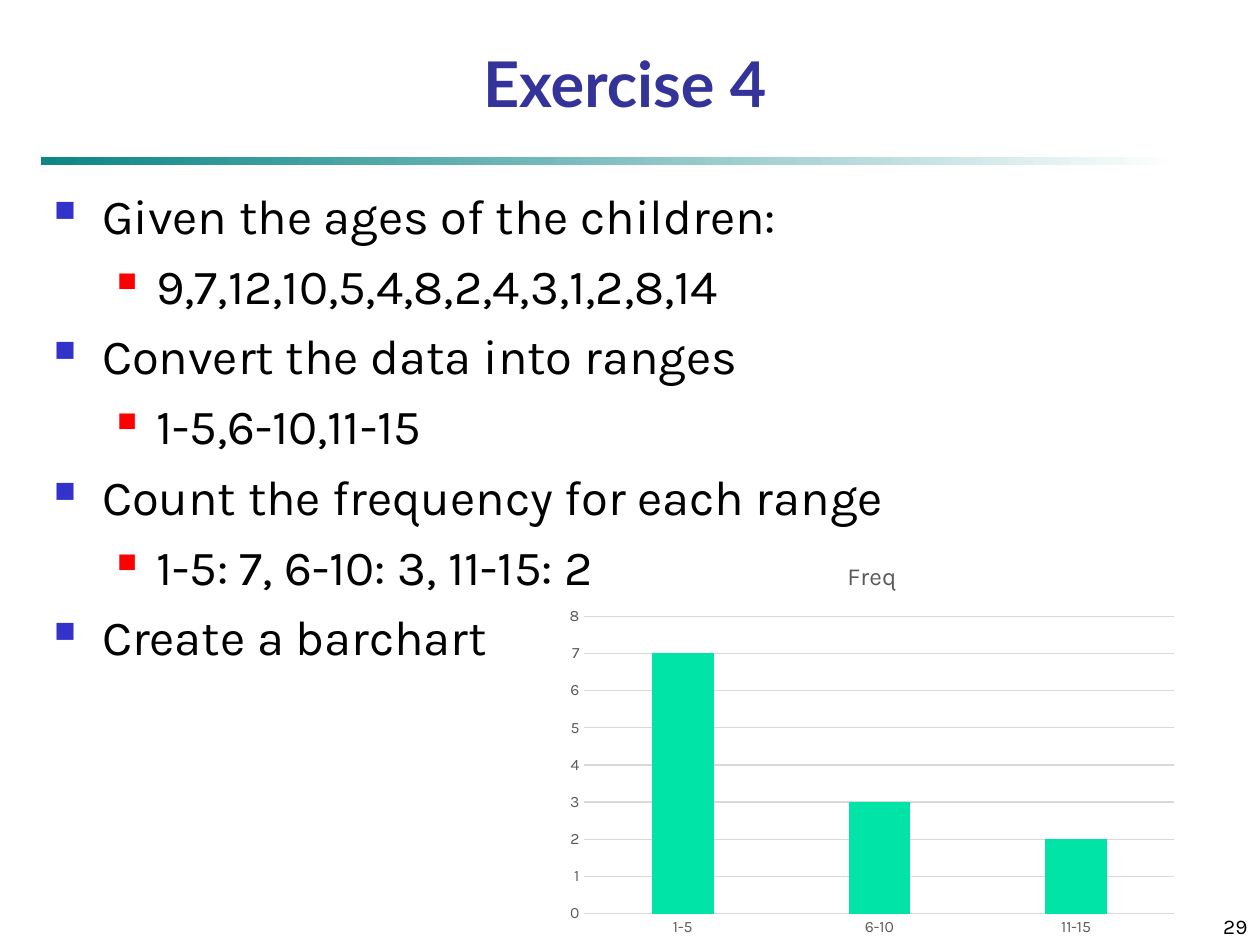
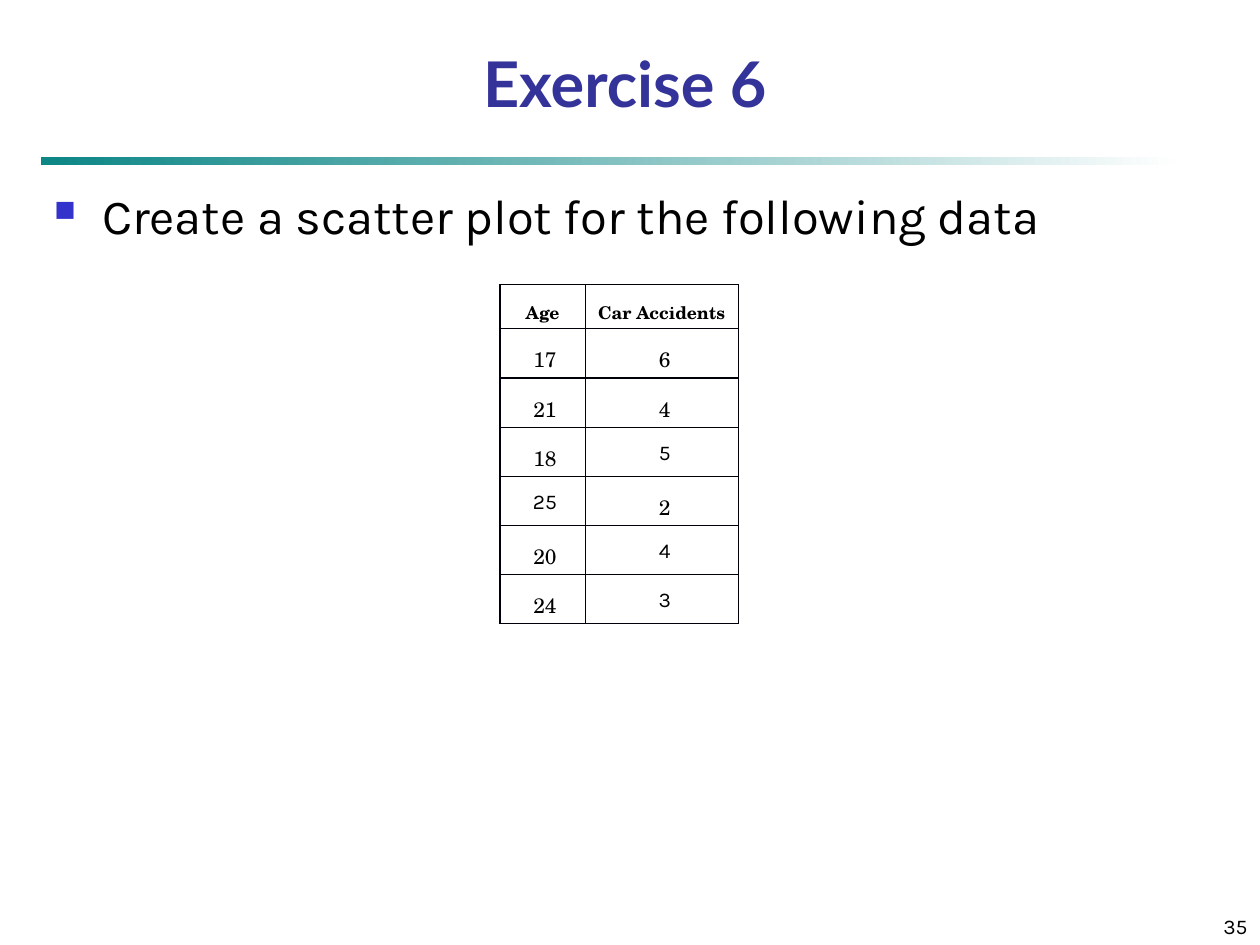
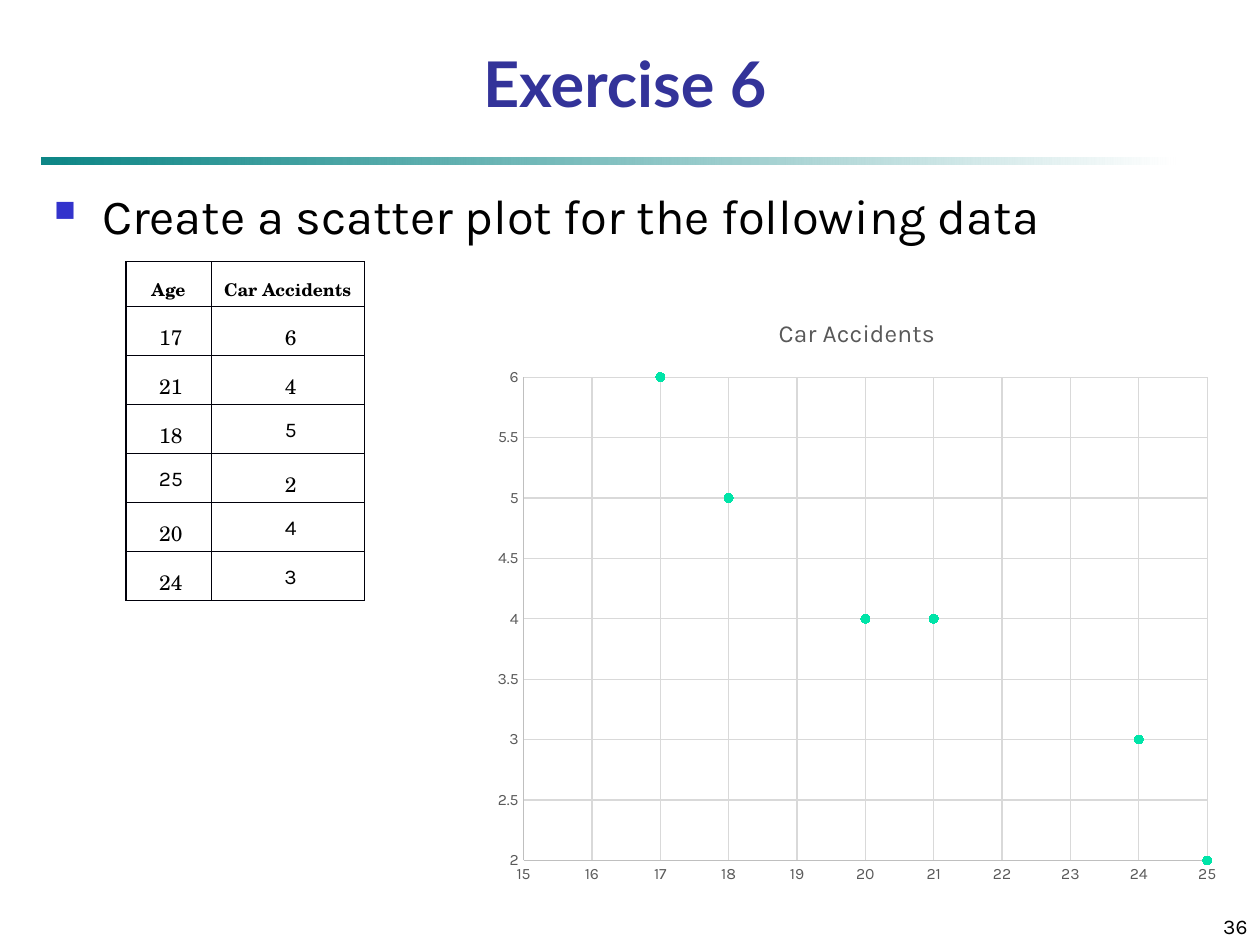
from lxml.etree import SubElement
from pptx import Presentation
from pptx.chart.data import CategoryChartData, XyChartData
from pptx.dml.color import RGBColor
from pptx.enum.chart import XL_CHART_TYPE as CT, XL_MARKER_STYLE as MS, XL_TICK_MARK as TM
from pptx.enum.shapes import MSO_SHAPE as SHAPE
from pptx.enum.text import MSO_ANCHOR as ANCHOR, PP_ALIGN as ALIGN
from pptx.oxml.ns import qn
from pptx.util import Cm, Pt

BLACK = RGBColor(0x00, 0x00, 0x00)
WHITE = RGBColor(0xFF, 0xFF, 0xFF)
NAVY = RGBColor(0x33, 0x33, 0x99)
TEAL = RGBColor(0x00, 0x80, 0x80)
BLUE = RGBColor(0x33, 0x33, 0xCC)
RED = RGBColor(0xFF, 0x00, 0x00)
INK = RGBColor(0x00, 0x00, 0x0A)
GREEN = RGBColor(0x00, 0xE4, 0xA8)
GREY = RGBColor(0x59, 0x59, 0x59)
GRID = RGBColor(0xD9, 0xD9, 0xD9)
AXIS = RGBColor(0xBF, 0xBF, 0xBF)

BODY, HEAD, SERIF = "Karla", "Lato", "TeX Gyre Schola"

BULLETS = [(0.97, -0.97, BLUE, 60), (2.06, -0.79, RED, 55)]

HEADINGS = ("Age", "Car Accidents")
ACCIDENTS = [(17, 6), (21, 4), (18, 5), (25, 2), (20, 4), (24, 3)]
SANS_CELLS = {(3, 1), (4, 0), (5, 1), (6, 1)}
SCATTER_TASK = [(0, "Create a scatter plot for the following data")]


def sub(parent, tag, **attrs):
    """Append a child element with the given attributes."""
    return SubElement(parent, qn(tag), {k: str(v) for k, v in attrs.items()})


def style_font(font, size, name=BODY, color=BLACK, bold=False):
    """Set the size, face, colour and weight of a font."""
    font.size, font.name, font.bold = Pt(size), name, bold
    font.color.rgb = color


class Deck:
    """Holds the shared style and the current slide."""

    def __init__(self):
        """Start an empty 4:3 presentation."""
        self.prs = Presentation()
        self.prs.slide_width, self.prs.slide_height = Cm(25.4), Cm(19.05)
        self.s = None

    def slide(self, title, number):
        """Add a slide with its rule, title and number."""
        self.s = self.prs.slides.add_slide(self.prs.slide_layouts[6])
        self.rule()
        self.line(title, (0.43, 0.84, 24.33, 1.7), ALIGN.CENTER, 36, HEAD, NAVY, True)
        self.line(str(number), (20.12, 17.98, 5.28, 1.07), ALIGN.RIGHT, 12)

    def rule(self):
        """Draw the fading bar below the title."""
        sp = self.s.shapes.add_shape(SHAPE.RECTANGLE, Cm(0.84), Cm(3.18), Cm(22.86), Cm(0.13))
        sp.shadow.inherit = False
        sp.line.fill.background()
        sp.fill.gradient()
        sp.fill.gradient_angle = 0
        for stop, position, color in zip(sp.fill.gradient_stops, (0, 1), (TEAL, WHITE)):
            stop.position, stop.color.rgb = position, color
        sub(sp._element.spPr.xpath(".//a:srgbClr")[0], "a:alpha", val=95000)

    def box(self, place, anchor=ANCHOR.TOP):
        """Add a wrapping text box and return its text frame."""
        tf = self.s.shapes.add_textbox(*map(Cm, place)).text_frame
        tf.word_wrap, tf.vertical_anchor = True, anchor
        return tf

    def line(self, text, place, align, *font):
        """Write one line at the bottom of a box."""
        p = self.box(place, ANCHOR.BOTTOM).paragraphs[0]
        p.alignment = align
        r = p.add_run()
        r.text = text
        style_font(r.font, *font)

    def bullets(self, items):
        """Write the body as a list of (level, text) items."""
        tf = self.box((0.84, 3.61, 23.29, 14.4))
        for i, (level, text) in enumerate(items):
            p = tf.add_paragraph() if i else tf.paragraphs[0]
            if i:
                p.space_before = Pt(6.5)
            p.level = level
            margin, indent, color, size = BULLETS[level]
            pPr = p._p.get_or_add_pPr()
            pPr.set("marL", str(Cm(margin)))
            pPr.set("indent", str(Cm(indent)))
            sub(sub(pPr, "a:buClr"), "a:srgbClr", val=color)
            sub(pPr, "a:buSzPct", val=size * 1000)
            sub(pPr, "a:buChar", char="■")
            r = p.add_run()
            r.text = text
            style_font(r.font, 28)

    def table(self, left, top):
        """Add the table of ages and accidents."""
        rows = [HEADINGS, *ACCIDENTS]
        widths = (1.73, 3.07)
        frame = self.s.shapes.add_table(len(rows), 2, Cm(left), Cm(top), Cm(sum(widths)), Cm(6.83))
        tbl = frame.table
        tbl.first_row = tbl.horz_banding = False
        for column, width in zip(tbl.columns, widths):
            column.width = Cm(width)
        for i, values in enumerate(rows):
            tbl.rows[i].height = Cm(0.99 if i else 0.89)
            for j, value in enumerate(values):
                face = BODY if (i, j) in SANS_CELLS else SERIF
                indent = (0.1, 0.13)[j] if i else 0
                self.cell(tbl.cell(i, j), str(value), indent, 12 if i else 10, face, BLACK, not i)

    def cell(self, cell, text, indent, *font):
        """Fill one bordered table cell."""
        cell.margin_left = cell.margin_top = cell.margin_bottom = Cm(0.18)
        cell.margin_right = Cm(0.2)
        tcPr = cell._tc.get_or_add_tcPr()
        for side in "LRTB":
            ln = sub(tcPr, f"a:ln{side}", w=Pt(0.75))
            sub(sub(ln, "a:solidFill"), "a:srgbClr", val=INK)
        cell.fill.solid()
        cell.fill.fore_color.rgb = WHITE
        p = cell.text_frame.paragraphs[0]
        p.alignment, p.line_spacing, p.space_after = ALIGN.CENTER, 1.2, Pt(7.2)
        p._p.get_or_add_pPr().set("marL", str(Cm(indent)))
        r = p.add_run()
        r.text = text
        style_font(r.font, *font)

    def chart(self, kind, place, data, title):
        """Add a titled chart without a legend."""
        chart = self.s.shapes.add_chart(kind, *map(Cm, place), data).chart
        style_font(chart.font, 10)
        chart.has_legend, chart.has_title = False, True
        r = chart.chart_title.text_frame.paragraphs[0].add_run()
        r.text = title
        style_font(r.font, 14, color=GREY)
        chart.plots[0].vary_by_categories = False
        return chart

    def axis(self, axis, line=None, grid=True, scale=None):
        """Style an axis; scale is (minimum, maximum, step)."""
        axis.major_tick_mark = axis.minor_tick_mark = TM.NONE
        style_font(axis.tick_labels.font, 9, color=GREY)
        axis.has_major_gridlines = grid
        if grid:
            self.stroke(axis.major_gridlines.format.line, GRID)
        if line is None:
            axis.format.line.fill.background()
        else:
            self.stroke(axis.format.line, line)
        if scale:
            axis.minimum_scale, axis.maximum_scale, axis.major_unit = scale

    def stroke(self, line, color):
        """Give a chart line its thin stroke."""
        line.color.rgb, line.width = color, Pt(0.75)

    def bar_chart(self, place, name, categories, values):
        """Add a column chart of one series."""
        data = CategoryChartData()
        data.categories = categories
        data.add_series(name, values)
        chart = self.chart(CT.COLUMN_CLUSTERED, place, data, name)
        plot = chart.plots[0]
        plot.gap_width, plot.overlap = 219, -27
        fill = plot.series[0].format.fill
        fill.solid()
        fill.fore_color.rgb = GREEN
        self.axis(chart.category_axis, GRID, grid=False)
        self.axis(chart.value_axis, scale=(0, 8, 1))

    def scatter_chart(self, place, name, points):
        """Add a scatter chart of one series."""
        data = XyChartData()
        series = data.add_series(name)
        for x, y in points:
            series.add_data_point(x, y)
        chart = self.chart(CT.XY_SCATTER, place, data, name)
        series = chart.plots[0].series[0]
        series.format.line.fill.background()
        marker = series.marker
        marker.style, marker.size = MS.CIRCLE, 5
        marker.format.fill.solid()
        marker.format.fill.fore_color.rgb = GREEN
        self.stroke(marker.format.line, GREEN)
        self.axis(chart.category_axis, AXIS, scale=(15, 25, 1))
        self.axis(chart.value_axis, AXIS, scale=(2, 6, 0.5))


def main():
    """Build the three exercise slides."""
    deck = Deck()

    deck.slide("Exercise 4", 29)
    deck.bullets([
        (0, "Given the ages of the children:"),
        (1, "9,7,12,10,5,4,8,2,4,3,1,2,8,14"),
        (0, "Convert the data into ranges"),
        (1, "1-5,6-10,11-15"),
        (0, "Count the frequency for each range"),
        (1, "1-5: 7, 6-10: 3, 11-15: 2"),
        (0, "Create a barchart"),
    ])
    deck.bar_chart((11.23, 10.9, 12.7, 8.15), "Freq", ("1-5", "6-10", "11-15"), (7, 3, 2))

    deck.slide("Exercise 6", 35)
    deck.bullets(SCATTER_TASK)
    deck.table(10.08, 5.74)

    deck.slide("Exercise 6", 36)
    deck.bullets(SCATTER_TASK)
    deck.table(2.54, 5.28)
    deck.scatter_chart((9.73, 5.92, 15.09, 12.14), HEADINGS[1], ACCIDENTS)

    deck.prs.save("out.pptx")


if __name__ == "__main__":
    main()
